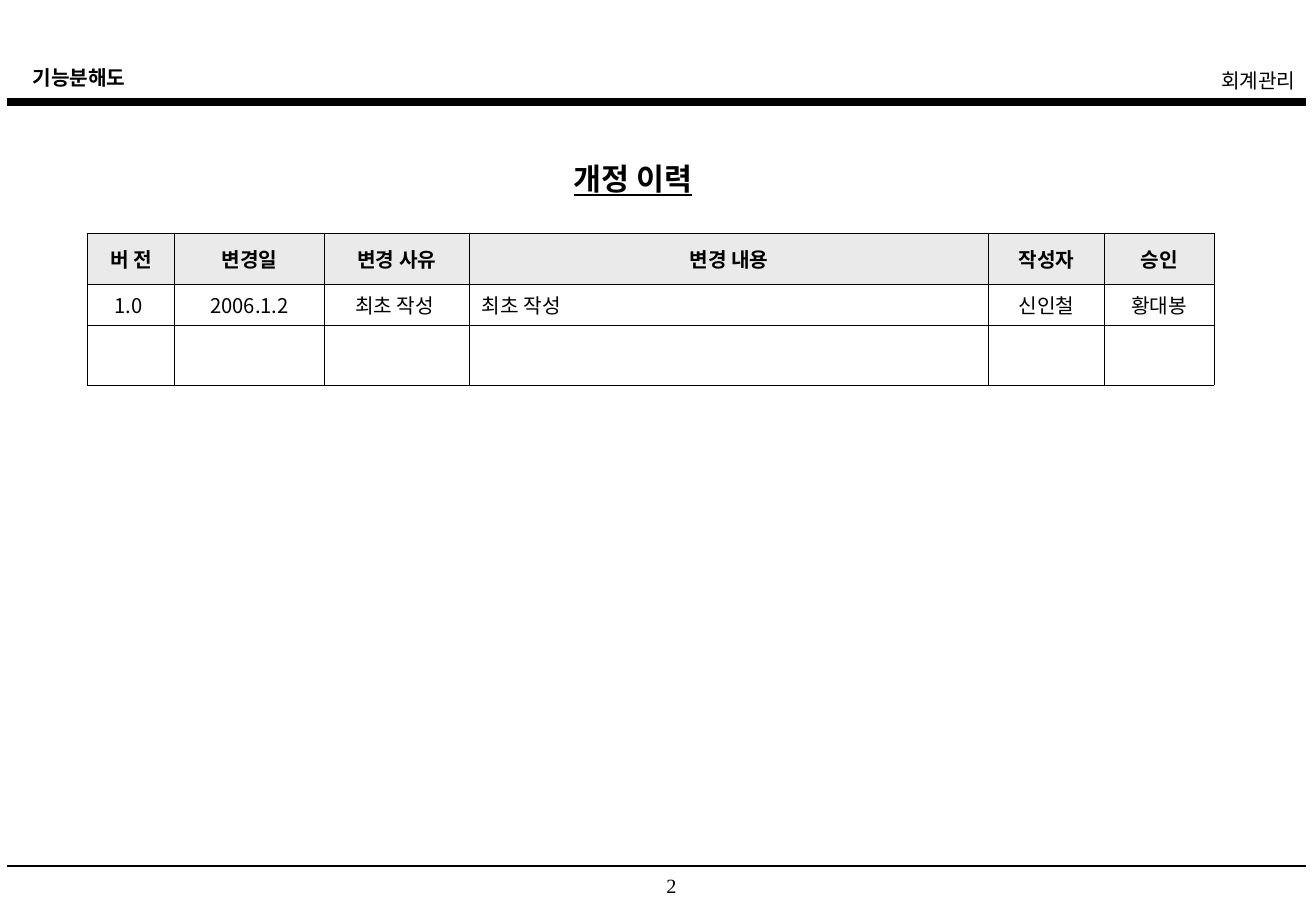
from pptx import Presentation
from pptx.dml.color import RGBColor
from pptx.enum.shapes import MSO_CONNECTOR
from pptx.enum.text import MSO_ANCHOR, PP_ALIGN
from pptx.oxml import parse_xml
from pptx.oxml.ns import nsdecls, qn
from pptx.util import Inches, Pt
from lxml.etree import SubElement

KOREAN = "Noto Sans CJK KR"
BLACK = "000000"
HEADER_GRAY = "EAEAEA"


def color(value):
    return RGBColor.from_string(value)


def write(paragraph, text, size=12, face=KOREAN, bold=False, underline=False,
          align=PP_ALIGN.LEFT):
    paragraph.alignment = align
    run = paragraph.add_run()
    run.text = text
    run.font.size = Pt(size)
    run.font.name = face
    run.font.bold = bold
    run.font.underline = underline
    run.font.color.rgb = color(BLACK)
    SubElement(run.font._element, qn("a:ea")).set("typeface", face)


presentation = Presentation()
presentation.slide_width = Inches(10.84)
presentation.slide_height = Inches(7.5)
slide = presentation.slides.add_slide(presentation.slide_layouts[6])

# Header and footer rules
for y, weight in [(0.84, 4.5), (7.13, 1)]:
    rule = slide.shapes.add_connector(
        MSO_CONNECTOR.STRAIGHT, Inches(0.06), Inches(y), Inches(10.76), Inches(y))
    rule.line.color.rgb = color(BLACK)
    rule.line.width = Pt(weight)
    SubElement(rule._element.spPr, qn("a:effectLst"))

# Header labels, title and page number
labels = [
    (0.17, 0.49, 4.35, 0.3, "기능분해도", {"bold": True}),
    (6.08, 0.51, 4.69, 0.3, "회계관리", {"align": PP_ALIGN.RIGHT}),
    (4.63, 1.27, 1.53, 0.4, "개정 이력",
     {"size": 18, "bold": True, "underline": True}),
    (5.14, 7.14, 0.78, 0.27, "2",
     {"face": "Times New Roman", "align": PP_ALIGN.CENTER}),
]
for left, top, width, height, text, style in labels:
    label = slide.shapes.add_textbox(
        Inches(left), Inches(top), Inches(width), Inches(height))
    label.text_frame.word_wrap = True
    write(label.text_frame.paragraphs[0], text, **style)

# Revision history table
column_widths = [0.72, 1.23, 1.2, 4.27, 0.96, 0.9]
row_heights = [0.42, 0.34, 0.49]
history = [
    ["버 전", "변경일", "변경 사유", "변경 내용", "작성자", "승인"],
    ["1.0 ", "2006.1.2", "최초 작성 ", "최초 작성", "신인철", "황대봉"],
    [""] * 6,
]
DESCRIPTION = 3

revisions = slide.shapes.add_table(
    len(row_heights), len(column_widths), Inches(0.72), Inches(1.92),
    Inches(sum(column_widths)), Inches(sum(row_heights))).table
revisions.first_row = False
revisions.horz_banding = False
for column, width in zip(revisions.columns, column_widths):
    column.width = Inches(width)
for row, height in zip(revisions.rows, row_heights):
    row.height = Inches(height)

for r, entries in enumerate(history):
    for c, entry in enumerate(entries):
        cell = revisions.cell(r, c)
        cell.vertical_anchor = MSO_ANCHOR.MIDDLE
        is_header = r == 0
        if entry:
            left_aligned = c == DESCRIPTION and not is_header
            write(cell.text_frame.paragraphs[0], entry, bold=is_header,
                  align=PP_ALIGN.LEFT if left_aligned else PP_ALIGN.CENTER)
        # Borders come before the fill in the cell properties
        for side in ("lnL", "lnR", "lnT", "lnB"):
            cell._tc.get_or_add_tcPr().append(parse_xml(
                f'<a:{side} {nsdecls("a")} w="{Pt(0.45)}"><a:solidFill>'
                f'<a:srgbClr val="{BLACK}"/></a:solidFill></a:{side}>'))
        if is_header:
            cell.fill.solid()
            cell.fill.fore_color.rgb = color(HEADER_GRAY)
        else:
            cell.fill.background()

presentation.save("out.pptx")
